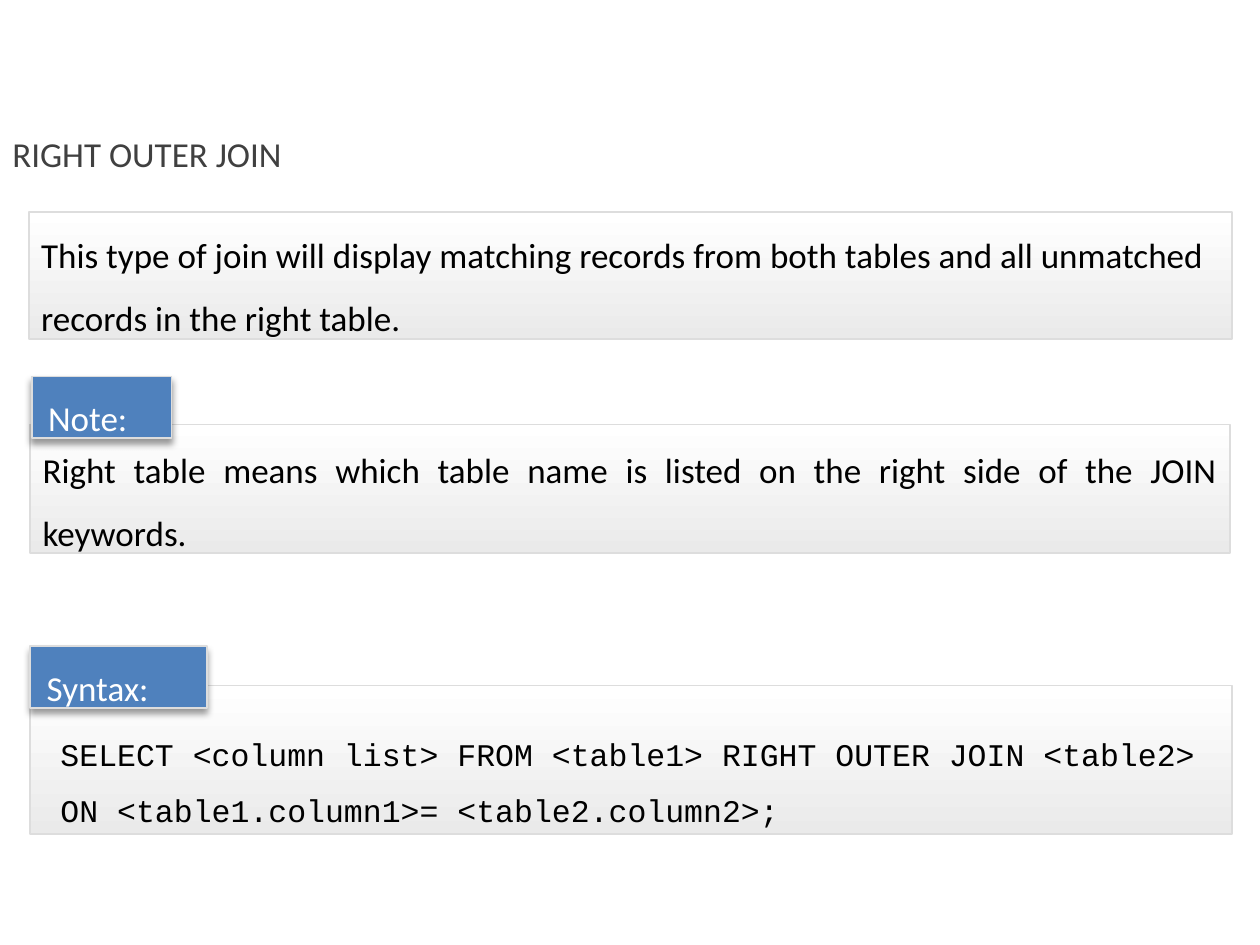
from lxml.etree import SubElement
from pptx import Presentation
from pptx.dml.color import RGBColor
from pptx.enum.shapes import MSO_SHAPE as Shape
from pptx.enum.text import MSO_ANCHOR as Anchor, MSO_AUTO_SIZE as AutoSize, PP_ALIGN as Align
from pptx.oxml.ns import qn
from pptx.util import Cm, Pt

COLORS = {
    "title": "404040",
    "body": "000000",
    "label_text": "FFFFFF",
    "label": "4F81BD",
    "border": "DDDDDD",
    "panel_top": "FFFFFF",
    "panel_bottom": "EAEAEA",
    "shadow": "000000",
}
LABEL_HEIGHT = 1.24


def rgb(name):
    return RGBColor.from_string(COLORS[name])


def write(holder, text, *, color="body", size=20, font="Calibri",
          align=Align.LEFT, anchor=Anchor.TOP, insets=(0.25, 0, 0.25, 0)):
    """Fill a shape with one paragraph; insets are left, top, right, bottom in cm."""
    frame = holder.text_frame
    frame.word_wrap = True
    frame.vertical_anchor = anchor
    (frame.margin_left, frame.margin_top,
     frame.margin_right, frame.margin_bottom) = map(Cm, insets)
    paragraph = frame.paragraphs[0]
    paragraph.alignment = align
    paragraph.line_spacing = 1.5
    run = paragraph.add_run()
    run.text = text
    run.font.name = font
    run.font.size = Pt(size)
    run.font.color.rgb = rgb(color)


def add_title(shapes, text):
    title = shapes.add_textbox(Cm(0), Cm(2.11), Cm(18), Cm(1.55))
    write(title, text, color="title", insets=(0.25, 0.13, 0.25, 0.13))
    title.text_frame.auto_size = AutoSize.SHAPE_TO_FIT_TEXT


def add_box(shapes, left, top, width, height):
    box = shapes.add_shape(Shape.RECTANGLE, Cm(left), Cm(top), Cm(width), Cm(height))
    box.shadow.inherit = False
    box.line.color.rgb = rgb("border")
    box.line.width = Pt(1)
    return box


def add_panel(shapes, text, left, top, width, height, **text_format):
    panel = add_box(shapes, left, top, width, height)
    panel.fill.gradient()
    panel.fill.gradient_angle = 270
    for stop, shade in zip(panel.fill.gradient_stops, ("panel_top", "panel_bottom")):
        stop.color.rgb = rgb(shade)
    write(panel, text, **text_format)


def add_drop_shadow(shape):
    effects = shape._element.spPr.find(qn("a:effectLst"))
    shadow = SubElement(effects, qn("a:outerShdw"), blurRad=str(Pt(4)),
                        dist=str(Pt(3)), dir="5400000", rotWithShape="0")
    tint = SubElement(shadow, qn("a:srgbClr"), val=COLORS["shadow"])
    SubElement(tint, qn("a:alpha"), val="40000")


def add_label(shapes, text, left, top, width):
    label = add_box(shapes, left, top, width, LABEL_HEIGHT)
    label.fill.solid()
    label.fill.fore_color.rgb = rgb("label")
    add_drop_shadow(label)
    write(label, text, color="label_text", anchor=Anchor.MIDDLE, insets=(0.33, 0, 0, 0))


def main():
    deck = Presentation()
    deck.slide_width, deck.slide_height = Cm(25.4), Cm(19.05)
    shapes = deck.slides.add_slide(deck.slide_layouts[6]).shapes

    add_title(shapes, "RIGHT OUTER JOIN")
    add_panel(shapes, "This type of join will display matching records from both tables "
              "and all unmatched records in the right table.",
              0.58, 4.27, 24.26, 2.57, anchor=Anchor.MIDDLE)

    syntax = shapes.add_group_shape().shapes
    add_panel(syntax, "SELECT <column list> FROM <table1> RIGHT OUTER JOIN <table2> "
              "ON <table1.column1>= <table2.column2>;",
              0.61, 13.82, 24.23, 3, size=18, font="Courier New",
              insets=(0.61, 0.61, 0.61, 0))
    add_label(syntax, "Syntax:", 0.61, 13.03, 3.56)

    note = shapes.add_group_shape().shapes
    add_panel(note, "Right table means which table name is listed on the right side "
              "of the JOIN keywords.",
              0.61, 8.56, 24.18, 2.59, align=Align.JUSTIFY, anchor=Anchor.BOTTOM)
    add_label(note, "Note:", 0.64, 7.59, 2.82)

    deck.save("out.pptx")


if __name__ == "__main__":
    main()
